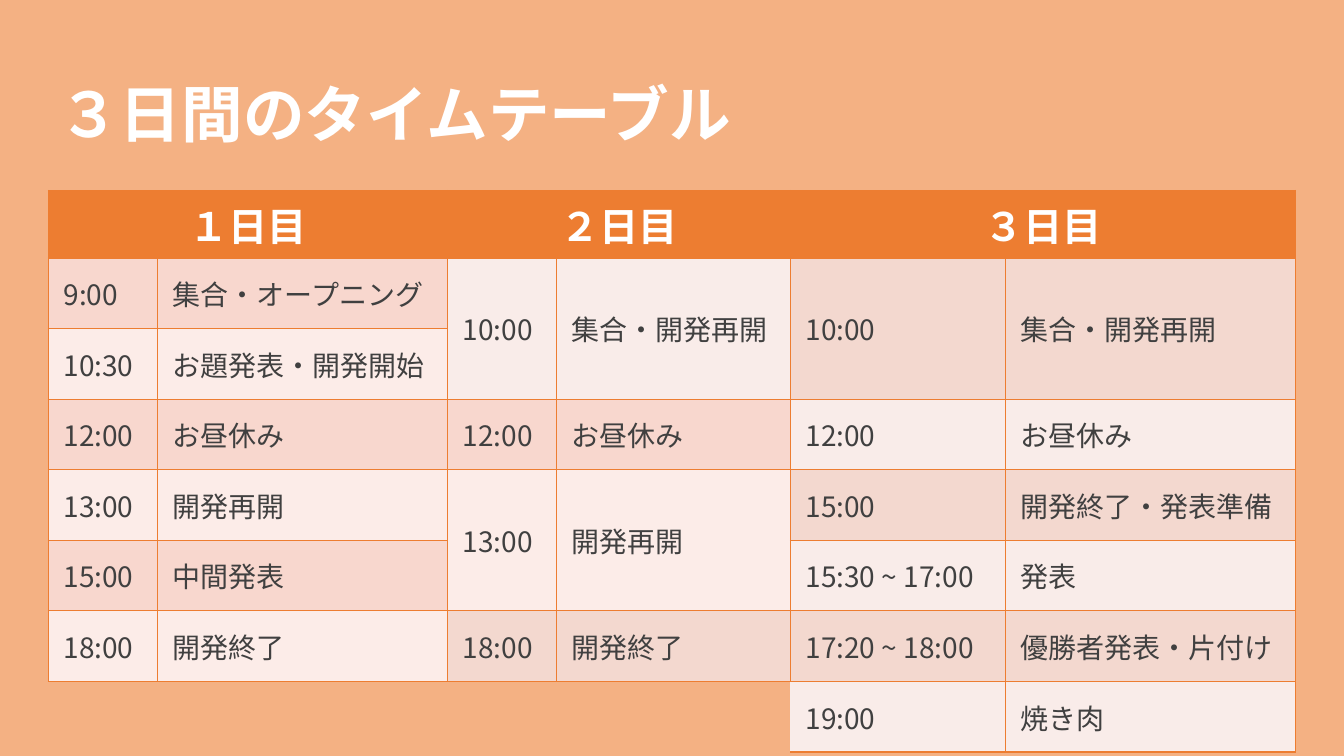
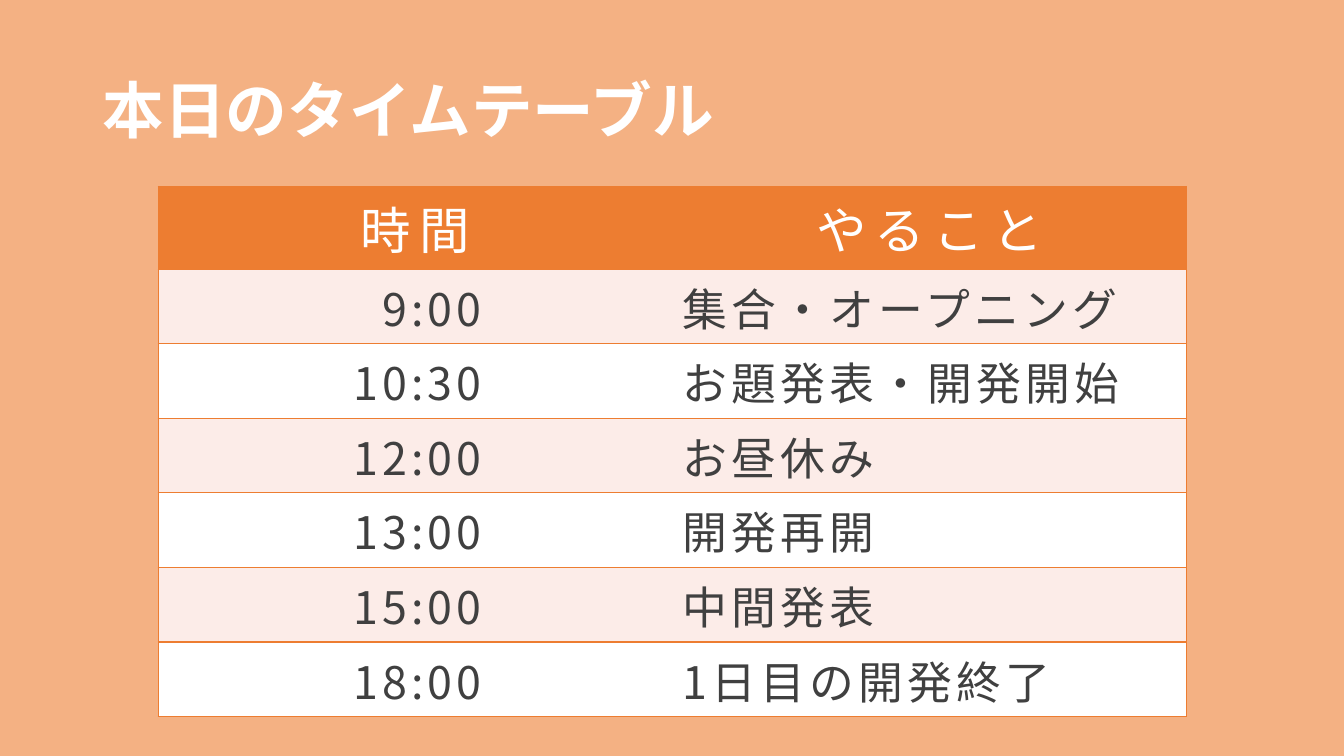
from lxml.etree import SubElement
from pptx import Presentation
from pptx.dml.color import RGBColor
from pptx.enum.text import MSO_ANCHOR, PP_ALIGN
from pptx.oxml.ns import qn
from pptx.util import Inches, Pt

FONT = "Noto Sans CJK JP"
PLAIN_TABLE_STYLE = "{2D5ABB26-0587-4C30-8999-92F81FD0307C}"
TITLE_HEIGHT = 1.45
COLOURS = {
    "background": "F4B183",
    "accent": "ED7D31",
    "white": "FFFFFF",
    "text": "404040",
    "rose": "F8D7CE",
    "light rose": "FCECE8",
    "clay": "F3D8CF",
    "light clay": "F9ECE9",
}


def write_text(frame, text, size, colour, bold=False, align=PP_ALIGN.LEFT, spacing=0):
    """Put one run into the frame's first paragraph; spacing is between letters, in points."""
    paragraph = frame.paragraphs[0]
    paragraph.alignment = align
    run = paragraph.add_run()
    run.text = text
    run.font.size = Pt(size)
    run.font.bold = bold
    run.font.color.rgb = RGBColor.from_string(COLOURS[colour])
    run.font.name = FONT
    properties = run.font._element
    SubElement(properties, qn("a:ea")).set("typeface", FONT)
    if spacing:
        properties.set("spc", str(spacing * 100))
    return paragraph


def style_cell(cell, fill, sides="LRTB", margin=None):
    """Fill the cell and draw an accent border on the given sides."""
    properties = cell._tc.get_or_add_tcPr()
    for side in sides:
        line = SubElement(properties, qn(f"a:ln{side}"), w=str(Pt(1)))
        line_fill = SubElement(line, qn("a:solidFill"))
        SubElement(line_fill, qn("a:srgbClr")).set("val", COLOURS["accent"])
    cell.fill.solid()
    cell.fill.fore_color.rgb = RGBColor.from_string(COLOURS[fill])
    cell.vertical_anchor = MSO_ANCHOR.MIDDLE
    if margin:
        cell.margin_left = cell.margin_right = Inches(margin)
        cell.margin_top = cell.margin_bottom = Inches(margin)


presentation = Presentation()
presentation.slide_width = Inches(13.33)
presentation.slide_height = Inches(7.5)
master_fill = presentation.slide_master.background.fill
master_fill.solid()
master_fill.fore_color.rgb = RGBColor.from_string(COLOURS["background"])

# title, title left, title top, table left, column widths, row heights
layouts = [
    ("３日間のタイムテーブル", 0.48, 0.44, 0.48,
     [1.08, 2.88, 1.08, 2.32, 2.13, 2.88], [0.67] + [0.7] * 7),
    ("本日のタイムテーブル", 0.92, 0.4, 1.57, [5.1, 5.1], [0.82] + [0.74] * 6),
]
tables = []
for title, title_left, title_top, table_left, widths, heights in layouts:
    slide = presentation.slides.add_slide(presentation.slide_layouts[6])
    title_box = slide.shapes.add_textbox(
        Inches(title_left), Inches(title_top), Inches(11.5), Inches(TITLE_HEIGHT))
    title_box.text_frame.word_wrap = True
    title_box.text_frame.vertical_anchor = MSO_ANCHOR.MIDDLE
    write_text(title_box.text_frame, title, 44, "white", bold=True).line_spacing = 0.9

    table = slide.shapes.add_table(
        len(heights), len(widths), Inches(table_left), Inches(title_top + TITLE_HEIGHT),
        Inches(sum(widths)), Inches(sum(heights))).table
    table.first_row = table.horz_banding = False
    table._tbl.tblPr.find(qn("a:tableStyleId")).text = PLAIN_TABLE_STYLE
    for column, width in zip(table.columns, widths):
        column.width = Inches(width)
    for row, height in zip(table.rows, heights):
        row.height = Inches(height)
    tables.append(table)
three_day_table, today_table = tables

# Each entry: time, activity, fill, rows covered
days = [
    ("１日目", [
        ("9:00", "集合・オープニング", "rose", 1),
        ("10:30", "お題発表・開発開始", "light rose", 1),
        ("12:00", "お昼休み", "rose", 1),
        ("13:00", "開発再開", "light rose", 1),
        ("15:00", "中間発表", "rose", 1),
        ("18:00", "開発終了", "light rose", 1),
    ]),
    ("２日目", [
        ("10:00", "集合・開発再開", "light clay", 2),
        ("12:00", "お昼休み", "rose", 1),
        ("13:00", "開発再開", "light rose", 2),
        ("18:00", "開発終了", "clay", 1),
    ]),
    ("３日目", [
        ("10:00", "集合・開発再開", "clay", 2),
        ("12:00", "お昼休み", "light clay", 1),
        ("15:00", "開発終了・発表準備", "clay", 1),
        ("15:30 ~ 17:00", "発表", "light clay", 1),
        ("17:20 ~ 18:00", "優勝者発表・片付け", "clay", 1),
        ("19:00", "焼き肉", "light clay", 1),
    ]),
]
for day_index, (day, entries) in enumerate(days):
    first_column = day_index * 2
    day_cell = three_day_table.cell(0, first_column)
    day_cell.merge(three_day_table.cell(0, first_column + 1))
    style_cell(day_cell, "accent")
    write_text(day_cell.text_frame, day, 28, "white", bold=True, align=PP_ALIGN.CENTER)
    row_index = 1
    for time, activity, fill, row_span in entries:
        for column_index, text in enumerate((time, activity), first_column):
            cell = three_day_table.cell(row_index, column_index)
            if row_span > 1:
                cell.merge(three_day_table.cell(row_index + row_span - 1, column_index))
            # The outline stays open around the unused lower left corner
            sides = "LRTB"
            if row_index == 6 and column_index < 4:
                sides = "LRT"
            elif row_index == 7 and column_index == 4:
                sides = "RTB"
            style_cell(cell, fill, sides, margin=0.15)
            write_text(cell.text_frame, text, 20, "text")
        row_index += row_span

for cell, heading, sides in zip(today_table.rows[0].cells, ("時間", "やること"), ("LTB", "RTB")):
    style_cell(cell, "accent", sides)
    write_text(cell.text_frame, heading, 36, "white", align=PP_ALIGN.CENTER, spacing=6)

today = [(time, activity) for time, activity, fill, row_span in days[0][1]]
today[-1] = ("18:00", "1日目の開発終了")
for row_index, (time, activity) in enumerate(today, 1):
    fill = "light rose" if row_index % 2 else "white"
    time_cell, activity_cell = today_table.rows[row_index].cells
    style_cell(time_cell, fill, "LTB")
    time_cell.margin_right = Inches(1.89)
    write_text(time_cell.text_frame, time, 32, "text", align=PP_ALIGN.RIGHT, spacing=3)
    style_cell(activity_cell, fill, "RTB")
    write_text(activity_cell.text_frame, activity, 32, "text", spacing=3)

presentation.save("out.pptx")
